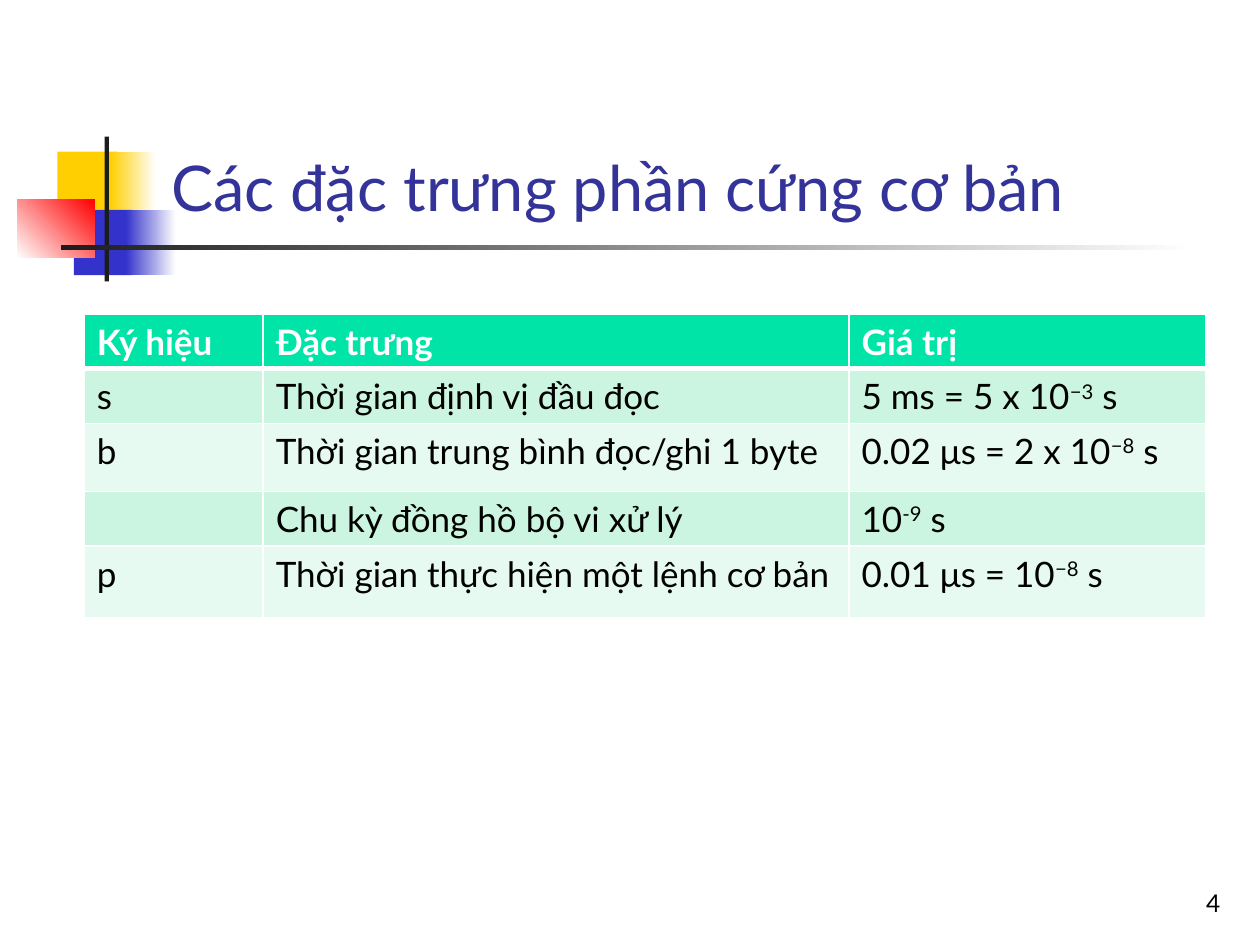
from lxml import etree
from pptx import Presentation
from pptx import util as u
from pptx.dml.color import RGBColor
from pptx.enum import shapes, text
from pptx.oxml import ns

Pt = u.Pt
FONT = "Lato"
WHITE = RGBColor(0xFF, 0xFF, 0xFF)
BLACK = RGBColor(0, 0, 0)
YELLOW = RGBColor(0xFF, 0xCF, 0x01)
BLUE = RGBColor(0x33, 0x33, 0xCC)
RED = RGBColor(0xFF, 0, 0)
CHARCOAL = RGBColor(0x1C, 0x1C, 0x1C)
TITLE_BLUE = RGBColor(0x33, 0x33, 0x99)
HEADER_GREEN = RGBColor(0, 0xE4, 0xA8)
BANDS = (RGBColor(0xCC, 0xF5, 0xE1), RGBColor(0xE7, 0xFA, 0xF1))

COLUMN_WIDTHS = (102.2, 334.8, 203.8)
ROW_HEIGHTS = (31.2, 31.2, 38.9, 31.2, 41)
# Each cell is a tuple of runs; every second run is a superscript.
ROWS = (
    (("Ký hiệu",), ("Đặc trưng",), ("Giá trị",)),
    (("s",), ("Thời gian định vị đầu đọc",), ("5 ms = 5 x 10", "−3", " s")),
    (("b",), ("Thời gian trung bình đọc/ghi 1 byte",),
     ("0.02 μs = 2 x 10", "−8", " s")),
    ((), ("Chu kỳ đồng hồ bộ vi xử lý",), ("10", "-9", " s")),
    (("p",), ("Thời gian thực hiện một lệnh cơ bản",),
     ("0.01 μs = 10", "−8", " s")),
)


def add_run(paragraph, words, size, color, bold=False, superscript=False):
    run = paragraph.add_run()
    run.text = words
    run.font.name = FONT
    run.font.size = Pt(size)
    run.font.bold = bold
    run.font.color.rgb = color
    if superscript:
        run._r.get_or_add_rPr().set("baseline", "30000")


def add_block(slide, left, top, width, height, start, end=None, angle=0):
    """Add a plain rectangle, or a gradient one when an end colour is given."""
    shape = slide.shapes.add_shape(shapes.MSO_SHAPE.RECTANGLE, Pt(left),
                                   Pt(top), Pt(width), Pt(height))
    shape.shadow.inherit = False
    shape.line.fill.background()
    if end is None:
        shape.fill.solid()
        shape.fill.fore_color.rgb = start
        return
    shape.fill.gradient()
    shape.fill.gradient_angle = angle
    for stop, color, position in zip(shape.fill.gradient_stops,
                                     (start, end), (0, 1)):
        stop.color.rgb = color
        stop.position = position


def add_ornament(slide, left, top):
    # Coloured squares, each fading to the right
    add_block(slide, left + 23, top + 8.6, 34.5, 37.4, YELLOW)
    add_block(slide, left + 53.2, top + 8.6, 26, 37.4, YELLOW, WHITE)
    add_block(slide, left + 32.5, top + 41.9, 33, 37.4, BLUE)
    add_block(slide, left + 62, top + 41.9, 28.6, 37.4, BLUE, WHITE)
    add_block(slide, left, top + 35.8, 44.2, 33.6, WHITE, RED, angle=45)
    # Crossing bars
    add_block(slide, left + 50, top, 2.4, 82.8, CHARCOAL)
    add_block(slide, left + 24.8, top + 62.3, 648, 2.5, CHARCOAL, WHITE)


def add_label(slide, left, top, width, height, words, size, color, alignment):
    box = slide.shapes.add_textbox(Pt(left), Pt(top), Pt(width), Pt(height))
    frame = box.text_frame
    frame.word_wrap = True
    frame.vertical_anchor = text.MSO_ANCHOR.BOTTOM
    paragraph = frame.paragraphs[0]
    paragraph.alignment = alignment
    add_run(paragraph, words, size, color)


def add_borders(cell, widths):
    """Draw white borders; widths are left, right, top, bottom."""
    properties = cell._tc.get_or_add_tcPr()
    for side, width in zip("LRTB", widths):
        line = etree.SubElement(properties, ns.qn(f"a:ln{side}"),
                                w=str(Pt(width)))
        fill = etree.SubElement(line, ns.qn("a:solidFill"))
        etree.SubElement(fill, ns.qn("a:srgbClr"), val=str(WHITE))


def add_hardware_table(slide, left, top):
    frame = slide.shapes.add_table(
        len(ROWS), len(COLUMN_WIDTHS), Pt(left), Pt(top),
        Pt(sum(COLUMN_WIDTHS)), Pt(sum(ROW_HEIGHTS)))
    table = frame.table
    for column, width in zip(table.columns, COLUMN_WIDTHS):
        column.width = Pt(width)
    for row, height in zip(table.rows, ROW_HEIGHTS):
        row.height = Pt(height)
    for i, row in enumerate(ROWS):
        header = i == 0
        for j, runs in enumerate(row):
            cell = table.cell(i, j)
            add_borders(cell, (1, 1, 3 if i == 1 else 1, 3 if header else 1))
            cell.fill.solid()
            cell.fill.fore_color.rgb = (HEADER_GREEN if header
                                        else BANDS[(i - 1) % 2])
            for k, words in enumerate(runs):
                add_run(cell.text_frame.paragraphs[0], words, 20,
                        WHITE if header else BLACK, header, k % 2 == 1)


def main():
    presentation = Presentation()
    presentation.slide_width = Pt(720)
    presentation.slide_height = Pt(540)
    slide = presentation.slides.add_slide(presentation.slide_layouts[6])
    add_ornament(slide, 9.8, 78)
    # Page number and title
    add_label(slide, 554.4, 491.8, 150, 36, "4", 14, BLACK,
              text.PP_ALIGN.RIGHT)
    add_label(slide, 90.7, 16.6, 613.4, 115.2,
              "Các đặc trưng phần cứng cơ bản", 36, TITLE_BLUE,
              text.PP_ALIGN.LEFT)
    add_hardware_table(slide, 48.2, 179.5)
    presentation.save("out.pptx")


if __name__ == "__main__":
    main()
